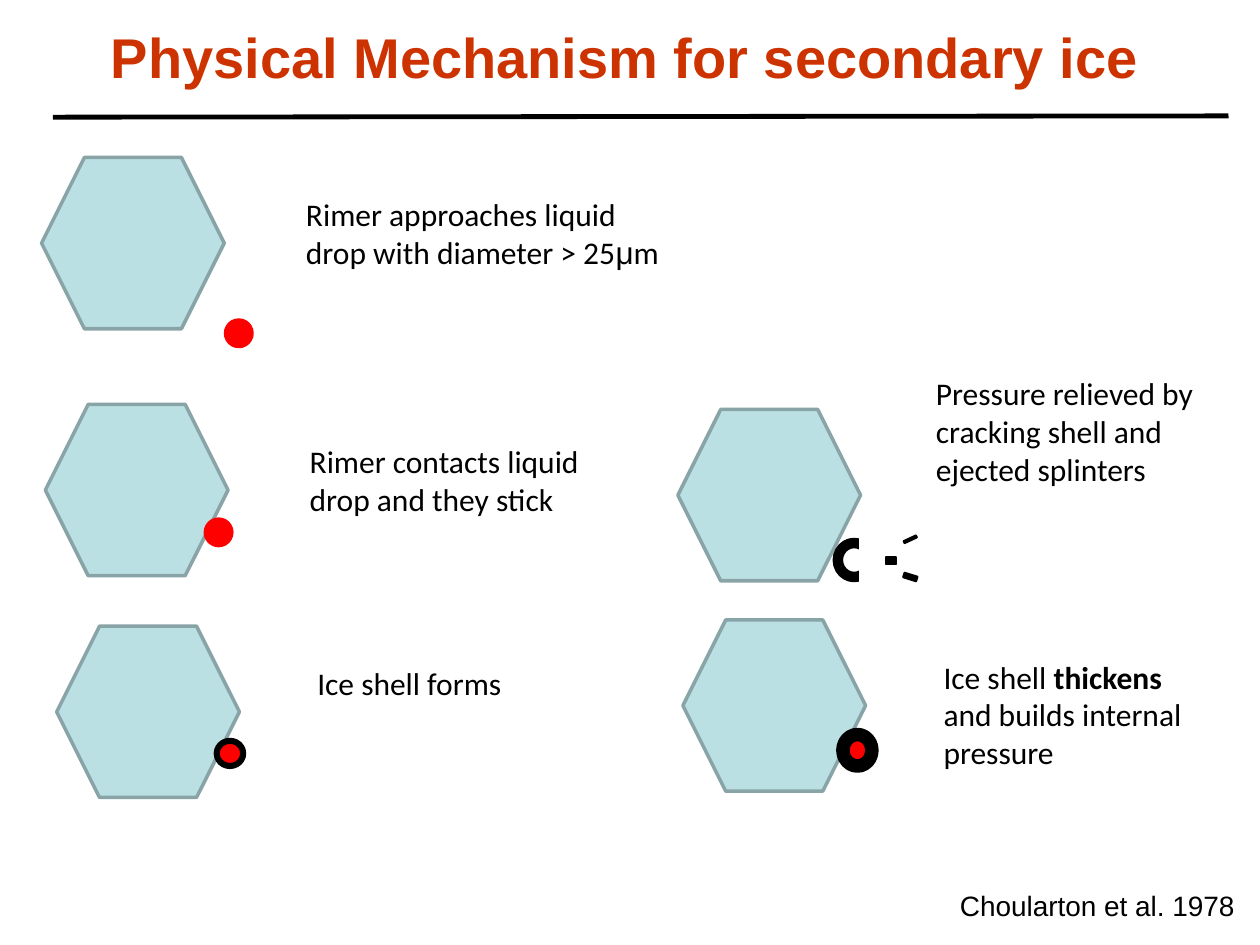
"""Build a slide on the physical mechanism for secondary ice."""
from lxml.etree import SubElement
from pptx import Presentation
from pptx.dml.color import RGBColor as Color
from pptx.enum.shapes import MSO_CONNECTOR as Connector, MSO_SHAPE as Shape
from pptx.enum.text import PP_ALIGN as Align
from pptx.oxml.ns import qn
from pptx.util import Inches, Pt

THEME = {
    "ice": Color(0xBB, 0xE0, 0xE3),
    "edge": Color(0x89, 0xA4, 0xA7),
    "drop": Color(0xFF, 0, 0),
    "ink": Color(0, 0, 0),
    "paper": Color(0xFF, 0xFF, 0xFF),
    "title": {"size": Pt(32), "name": "Arial", "bold": True, "color": Color(0xCC, 0x33, 0)},
    "body": {"size": Pt(18), "name": "Calibri", "bold": False, "color": Color(0, 0, 0)},
    "source": {"size": Pt(16), "name": "Arial", "bold": False, "color": Color(0, 0, 0)},
}

deck = Presentation()
deck.slide_width, deck.slide_height = Inches(10), Inches(7.5)
page = deck.slides.add_slide(deck.slide_layouts[6])
COLUMN, ROW = deck.slide_width / 20, deck.slide_height / 15


def add_outline(kind, place, fill, line, weight, turn=0):
    column, row, width, height = place
    shape = page.shapes.add_shape(kind, int(column * COLUMN), int(row * ROW), int(width * COLUMN), int(height * ROW))
    shape.shadow.inherit = False
    shape.rotation = turn
    if fill:
        shape.fill.solid()
        shape.fill.fore_color.rgb = THEME[fill]
    else:
        shape.fill.background()
    shape.line.color.rgb = THEME[line]
    shape.line.width = Pt(weight)


def add_text(place, paragraphs, style, align=Align.LEFT, wrap=True):
    column, row, width, height = place
    box = page.shapes.add_textbox(int(column * COLUMN), int(row * ROW), int(width * COLUMN), int(height * ROW))
    frame = box.text_frame
    frame.word_wrap = wrap
    for index, runs in enumerate(paragraphs):
        para = frame.paragraphs[0] if index == 0 else frame.add_paragraph()
        para.alignment = align
        for words, changes in runs:
            span = para.add_run()
            span.text = words
            for key, value in {**THEME[style], **changes}.items():
                if key == "color":
                    span.font.color.rgb = value
                else:
                    setattr(span.font, key, value)


add_text((0.34, 0.26, 19.16, 1.26), [[("Physical Mechanism for secondary ice", {})]], "title", Align.CENTER)
rule = page.shapes.add_connector(
    Connector.STRAIGHT, int(0.84 * COLUMN), int(1.86 * ROW), int(19.5 * COLUMN), int(1.84 * ROW)
)
rule.line.color.rgb = THEME["ink"]
rule.line.width = Pt(2.75)
SubElement(rule._element.spPr, qn("a:effectLst"))

# Each stage: rimer corner, drop (place, fill, line, weight), caption place and paragraphs.
stages = [
    ((0.66, 2.5), ((3.58, 5.08, 0.42, 0.42), "drop", "drop", 2), (4.66, 3, 6.16, 1.4),
     [[("Rimer approaches liquid drop with diameter > 25", {}), ("μ", {"name": "Arial"}), ("m", {})]]),
    ((0.72, 6.42), ((3.26, 8.24, 0.42, 0.42), "drop", "drop", 2), (4.72, 6.92, 5.6, 1.4),
     [[("Rimer contacts liquid drop and they stick", {})]]),
    ((0.9, 9.94), ((3.44, 11.76, 0.42, 0.4), "drop", "ink", 3.5), (4.84, 10.44, 4, 0.8),
     [[("Ice shell forms", {})]]),
    ((10.84, 9.84), ((13.38, 11.66, 0.46, 0.5), "drop", "ink", 7.75), (14.78, 10.34, 4.4, 2),
     [[("Ice shell ", {}), ("thickens", {"bold": True})], [("and builds internal pressure", {})]]),
    ((10.76, 6.5), ((13.3, 8.62, 0.52, 0.54), None, "ink", 6), (14.66, 5.84, 4.66, 2),
     [[("Pressure relieved by cracking shell and ejected splinters", {})]]),
]
for corner, drop, caption, paragraphs in stages:
    add_outline(Shape.HEXAGON, (*corner, 2.9, 2.72), "ice", "edge", 2)
    add_outline(Shape.OVAL, *drop)
    add_text(caption, paragraphs, "body")

splinters = [
    ((14.06, 8.84, 0.16, 0.12), 0),
    ((14.34, 9.12, 0.22, 0.08), 17.2),
    ((14.34, 8.54, 0.22, 0.04), 335),
]
for place, turn in splinters:
    add_outline(Shape.RECTANGLE, place, "ink", "ink", 1, turn)
add_outline(Shape.RECTANGLE, (13.66, 8.5, 0.34, 0.84), "paper", "paper", 2)

add_text((15.04, 14, 4.76, 0.74), [[("Choularton et al. 1978", {})]], "source", wrap=False)
deck.save("out.pptx")
